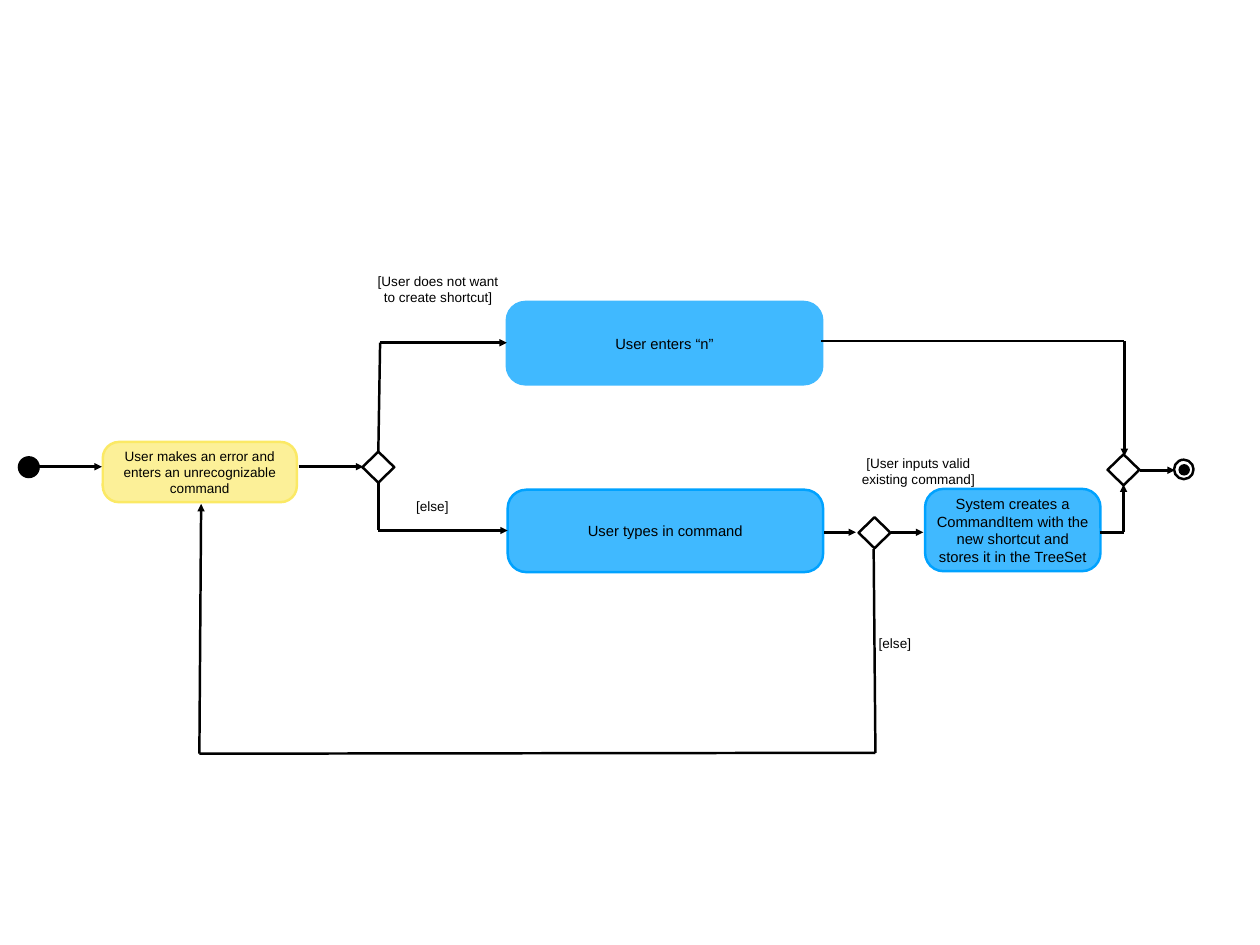
import pptx
import pptx.dml.color
import pptx.enum.shapes
import pptx.enum.text
import pptx.oxml
import pptx.oxml.ns
import pptx.util
from pptx.util import Inches

SHAPE = pptx.enum.shapes.MSO_SHAPE
BLACK, WHITE = "000000", "FFFFFF"
BLUE, BLUE_EDGE = "40B9FF", "00A2FF"
YELLOW, YELLOW_EDGE = "FCF098", "FBE965"


def color(hex_string):
    return pptx.dml.color.RGBColor.from_string(hex_string)


class ActivityDiagram:
    font_name = "Arial"
    line_width = pptx.util.Pt(2)
    inset = Inches(0.06)

    def __init__(self, slide):
        self.slide = slide

    def set_text(self, shape, lines, size, wrap):
        frame = shape.text_frame
        frame.word_wrap = wrap
        frame.vertical_anchor = pptx.enum.text.MSO_ANCHOR.MIDDLE
        frame.margin_left = frame.margin_right = self.inset
        frame.margin_top = frame.margin_bottom = self.inset
        frame.text = "\n".join(lines)
        for paragraph in frame.paragraphs:
            paragraph.alignment = pptx.enum.text.PP_ALIGN.CENTER
            paragraph.font.name = self.font_name
            paragraph.font.size = pptx.util.Pt(size)
            paragraph.font.color.rgb = color(BLACK)

    def node(self, kind, left, top, width, height, fill, edge=None):
        shape = self.slide.shapes.add_shape(
            kind, Inches(left), Inches(top), Inches(width), Inches(height))
        shape.shadow.inherit = False
        shape.fill.solid()
        shape.fill.fore_color.rgb = color(fill)
        if edge:
            shape.line.color.rgb = color(edge)
            shape.line.width = self.line_width
        else:
            shape.line.fill.background()
        return shape

    def action(self, text, left, top, width, height, fill=BLUE,
               edge=BLUE_EDGE, size=12, rounding=0.224):
        shape = self.node(SHAPE.ROUNDED_RECTANGLE, left, top, width, height, fill, edge)
        shape.adjustments[0] = rounding
        self.set_text(shape, [text], size, True)

    def decision(self, left, top):
        self.node(SHAPE.DIAMOND, left, top, 0.36, 0.35, WHITE, BLACK)

    def circle(self, left, top, diameter, fill=BLACK, edge=None):
        self.node(SHAPE.OVAL, left, top, diameter, diameter, fill, edge)

    def label(self, lines, left, top, width, height):
        box = self.slide.shapes.add_textbox(
            Inches(left), Inches(top), Inches(width), Inches(height))
        self.set_text(box, lines, 11, False)

    def segment(self, start, end, arrow):
        connector = self.slide.shapes.add_connector(
            pptx.enum.shapes.MSO_CONNECTOR.STRAIGHT,
            *(Inches(value) for value in start + end))
        connector.line.color.rgb = color(BLACK)
        connector.line.width = self.line_width
        if arrow:
            line = connector.line._get_or_add_ln()
            line.append(pptx.oxml.parse_xml(
                f'<a:tailEnd {pptx.oxml.ns.nsdecls("a")} type="triangle"/>'))
        connector._element.spPr.append(pptx.oxml.parse_xml(
            f'<a:effectLst {pptx.oxml.ns.nsdecls("a")}/>'))

    def flow(self, *points):
        """Joins the points and puts an arrowhead on the last segment."""
        last = len(points) - 1
        for index in range(last):
            self.segment(points[index], points[index + 1], index + 1 == last)


def main():
    presentation = pptx.Presentation()
    presentation.slide_width = Inches(14.22)
    presentation.slide_height = Inches(10.67)
    slide = presentation.slides.add_slide(presentation.slide_layouts[6])
    diagram = ActivityDiagram(slide)

    # Start and end
    diagram.circle(0.2, 5.15, 0.25)
    diagram.circle(13.25, 5.19, 0.22, WHITE, BLACK)
    diagram.circle(13.3, 5.24, 0.13)

    # Actions
    diagram.action("User makes an error and enters an unrecognizable command",
                   1.16, 4.99, 2.19, 0.68, YELLOW, YELLOW_EDGE, 11, 0.269)
    diagram.action("User enters “n”", 5.72, 3.41, 3.56, 0.93, edge=BLUE)
    diagram.action("User types in command", 5.73, 5.53, 3.56, 0.93)
    diagram.action("System creates a CommandItem with the new shortcut and "
                   "stores it in the TreeSet", 10.44, 5.52, 1.98, 0.93)

    # Decisions and merge
    for left, top in ((4.09, 5.1), (9.69, 5.84), (12.5, 5.13)):
        diagram.decision(left, top)

    # Flows
    diagram.flow((0.44, 5.27), (1.15, 5.27))
    diagram.flow((3.37, 5.27), (4.1, 5.27))
    diagram.flow((4.27, 5.1), (4.29, 3.87), (5.72, 3.87))
    diagram.flow((4.27, 5.45), (4.27, 5.99), (5.73, 5.99))
    diagram.flow((9.27, 3.85), (12.69, 3.85), (12.69, 5.15))
    diagram.flow((9.3, 6.01), (9.66, 6.01))
    diagram.flow((10.05, 6.01), (10.42, 6.01))
    diagram.flow((12.41, 6.01), (12.68, 6.01), (12.68, 5.47))
    diagram.flow((12.87, 5.31), (13.26, 5.31))
    diagram.flow((9.86, 6.2), (9.88, 8.5), (2.25, 8.51), (2.27, 5.69))

    # Guard conditions
    diagram.label(["[User does not want", "to create shortcut]"], 4.13, 3.02, 1.63, 0.48)
    diagram.label(["[User inputs valid", "existing command]"], 9.63, 5.08, 1.47, 0.48)
    for left, top in ((4.63, 5.57), (9.85, 7.12)):
        diagram.label(["[else]"], left, top, 0.5, 0.29)

    presentation.save("out.pptx")


if __name__ == "__main__":
    main()
